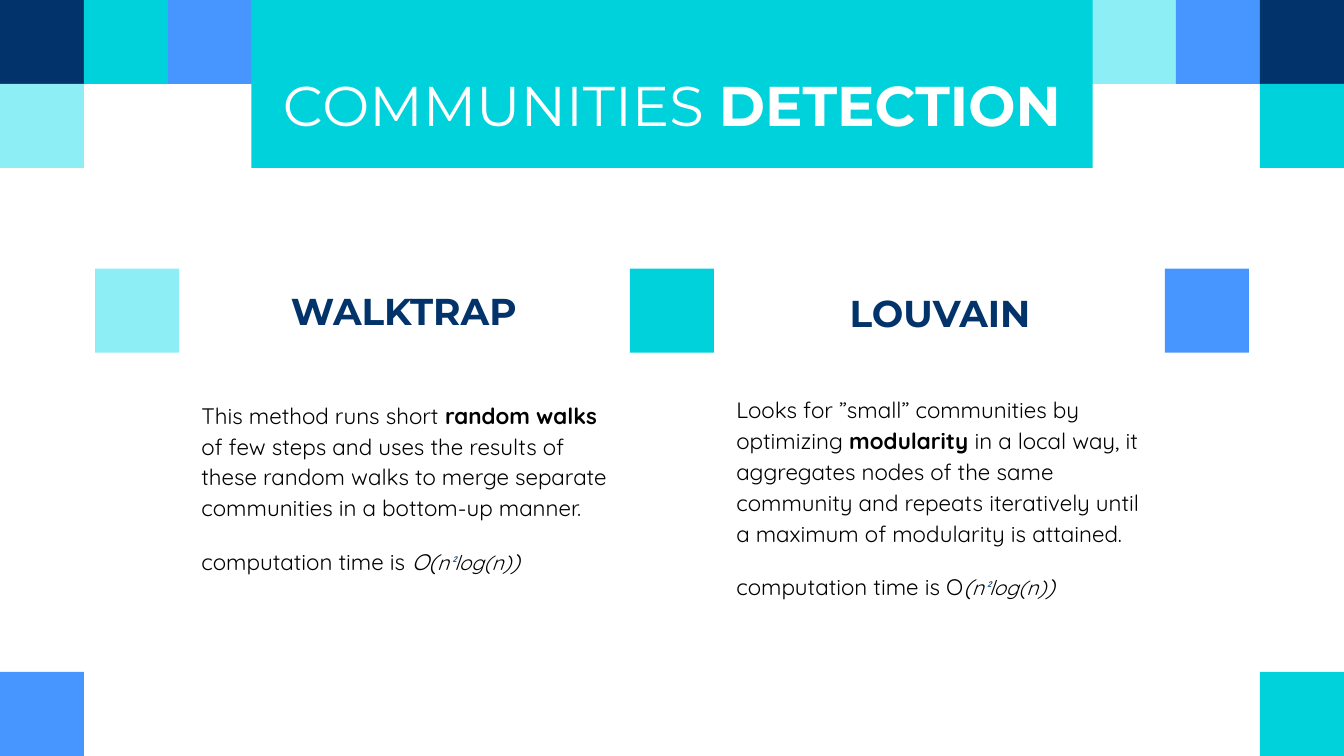
from pptx import Presentation
from pptx.dml.color import RGBColor
from pptx.enum.shapes import MSO_SHAPE
from pptx.enum.text import MSO_ANCHOR, PP_ALIGN
from pptx.util import Inches, Pt

NAVY = RGBColor(0x02, 0x33, 0x6A)
TURQUOISE = RGBColor(0x00, 0xD2, 0xDC)
BLUE = RGBColor(0x47, 0x96, 0xFF)
AQUA = RGBColor(0x8D, 0xEE, 0xF5)
WHITE = RGBColor(0xFF, 0xFF, 0xFF)
BLACK = RGBColor(0x00, 0x00, 0x00)

RECTANGLE = MSO_SHAPE.RECTANGLE
CENTER, LEFT = PP_ALIGN.CENTER, PP_ALIGN.LEFT
TOP, MIDDLE, BOTTOM = MSO_ANCHOR.TOP, MSO_ANCHOR.MIDDLE, MSO_ANCHOR.BOTTOM

HEADING_FONT = "Montserrat"
BODY_FONT = "Quicksand"
WIDTH = 10
TILE = WIDTH / 16
HEIGHT = 9 * TILE

# (column, row) on a grid of 16 by 9 tiles
CORNER_TILES = [
    (0, 0, NAVY), (1, 0, TURQUOISE), (2, 0, BLUE), (0, 1, AQUA),
    (13, 0, AQUA), (14, 0, BLUE), (15, 0, NAVY), (15, 1, TURQUOISE),
    (0, 8, BLUE), (15, 8, TURQUOISE),
]

# Runs are (text, bold, italic, size, colour)
COMPLEXITY = [
    ("n", False, True, 11, BLACK),
    ("²", False, True, 9, NAVY),
    ("log(n)", False, True, 11, BLACK),
    (")", False, True, 12, BLACK),
]


def plain(text):
    return (text, False, False, 12, BLACK)


def bold(text):
    return (text, True, False, 12, BLACK)


def italic(text):
    return (text, False, True, 12, BLACK)


WALKTRAP_TEXT = [
    [plain("This method runs short "), bold("random walks"),
     plain(" of few steps and uses the results of these random walks to merge "
           "separate communities in a bottom-up manner.")],
    [plain("computation time is "), italic("O("), *COMPLEXITY],
]
LOUVAIN_TEXT = [
    [plain("Looks for ”small” communities by optimizing "), bold("modularity"),
     plain(" in a local way, it aggregates nodes of the same community and "
           "repeats iteratively until a maximum of modularity is attained.")],
    [plain("computation time is O"), italic("("), *COMPLEXITY],
]


def add_block(slide, left, top, width, height, color):
    block = slide.shapes.add_shape(
        RECTANGLE, Inches(left), Inches(top), Inches(width), Inches(height))
    block.shadow.inherit = False
    block.fill.solid()
    block.fill.fore_color.rgb = color
    block.line.fill.background()
    return block


def add_runs(paragraph, runs, font_name):
    for text, is_bold, is_italic, size, color in runs:
        run = paragraph.add_run()
        run.text = text
        run.font.name = font_name
        run.font.size = Pt(size)
        run.font.bold = is_bold
        run.font.italic = is_italic
        run.font.color.rgb = color


def set_frame(frame, anchor, top_inset=0.1, bottom_inset=0.1):
    frame.word_wrap = True
    frame.vertical_anchor = anchor
    frame.margin_left = frame.margin_right = Inches(0.1)
    frame.margin_top = Inches(top_inset)
    frame.margin_bottom = Inches(bottom_inset)


def add_text(slide, left, top, width, height, anchor):
    box = slide.shapes.add_textbox(
        Inches(left), Inches(top), Inches(width), Inches(height))
    set_frame(box.text_frame, anchor)
    return box.text_frame


def add_banner(slide):
    banner = add_block(slide, 1.87, 0, 6.26, 2 * TILE, TURQUOISE)
    frame = banner.text_frame
    set_frame(frame, MIDDLE, top_inset=0.3, bottom_inset=0)
    title = frame.paragraphs[0]
    title.alignment = CENTER
    add_runs(title, [("COMMUNITIES ", False, False, 30, WHITE),
                     ("DETECTION", True, False, 30, WHITE)], HEADING_FONT)


def add_heading(slide, text, left, top, width):
    heading = add_text(slide, left, top, width, 0.55, BOTTOM).paragraphs[0]
    heading.alignment = CENTER
    add_runs(heading, [(text, True, False, 20, NAVY)], HEADING_FONT)


def add_description(slide, paragraphs, left, top, width, height):
    frame = add_text(slide, left, top, width, height, TOP)
    for index, runs in enumerate(paragraphs):
        paragraph = frame.add_paragraph() if index else frame.paragraphs[0]
        paragraph.alignment = LEFT
        paragraph.line_spacing = 1.15
        paragraph.space_before = Pt(12)
        add_runs(paragraph, runs, BODY_FONT)


def main():
    prs = Presentation()
    prs.slide_width, prs.slide_height = Inches(WIDTH), Inches(HEIGHT)
    slide = prs.slides.add_slide(prs.slide_layouts[6])

    for column, row, color in CORNER_TILES:
        add_block(slide, column * TILE, row * TILE, TILE, TILE, color)
    add_banner(slide)

    add_heading(slide, "WALKTRAP", 1.5, 2.03, 3.01)
    add_description(slide, WALKTRAP_TEXT, 1.4, 2.86, 3.29, 1.95)
    add_heading(slide, "LOUVAIN", 5.48, 2.04, 3.03)
    add_description(slide, LOUVAIN_TEXT, 5.38, 2.82, 3.22, 2.36)

    for index, color in enumerate((AQUA, TURQUOISE, BLUE)):
        left = (WIDTH - TILE) / 2 + (index - 1) * 3.98
        add_block(slide, left, 2, TILE, TILE, color)

    prs.save("out.pptx")


if __name__ == "__main__":
    main()
